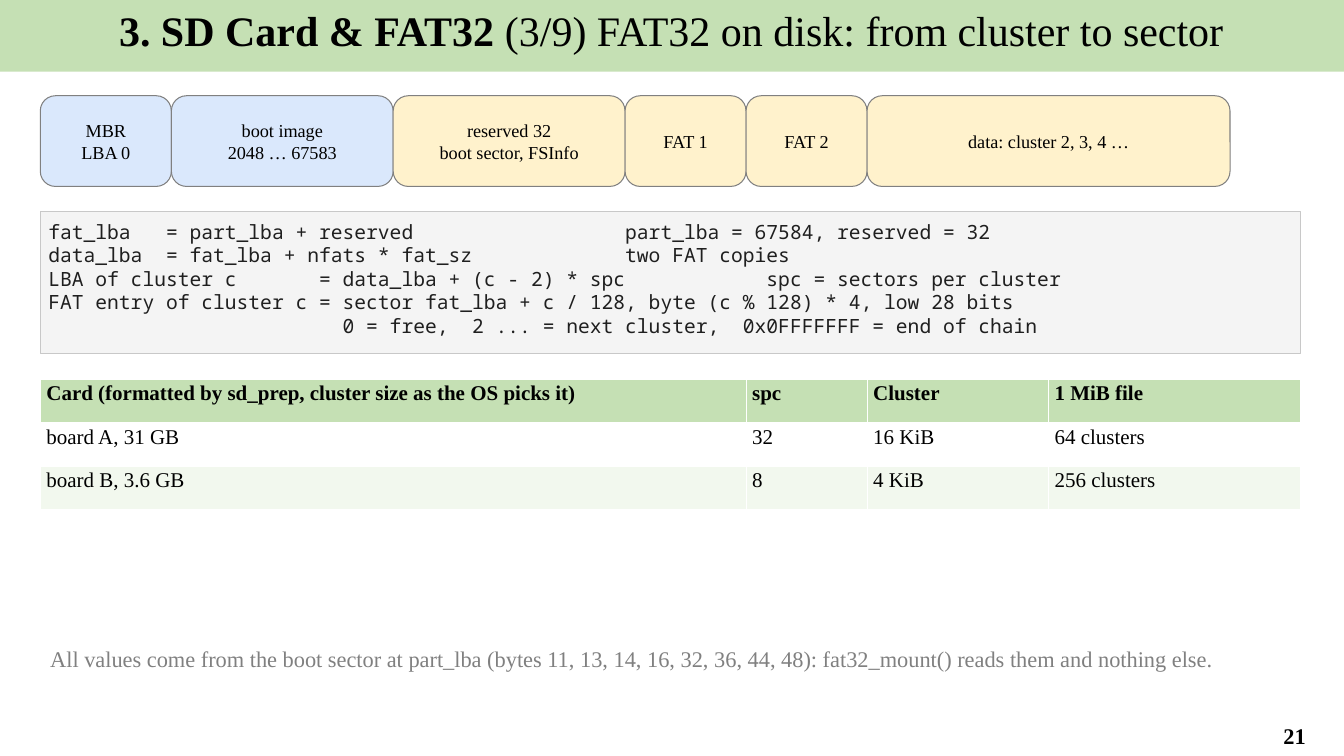
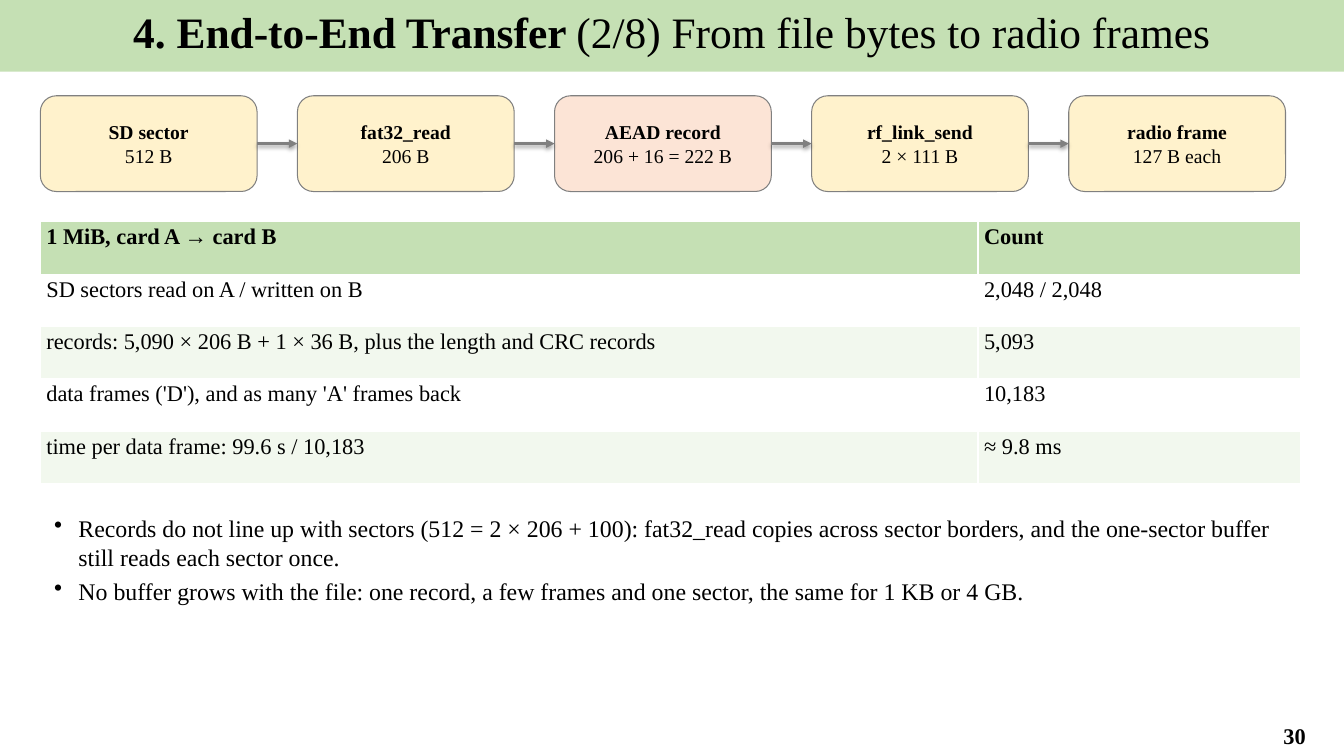
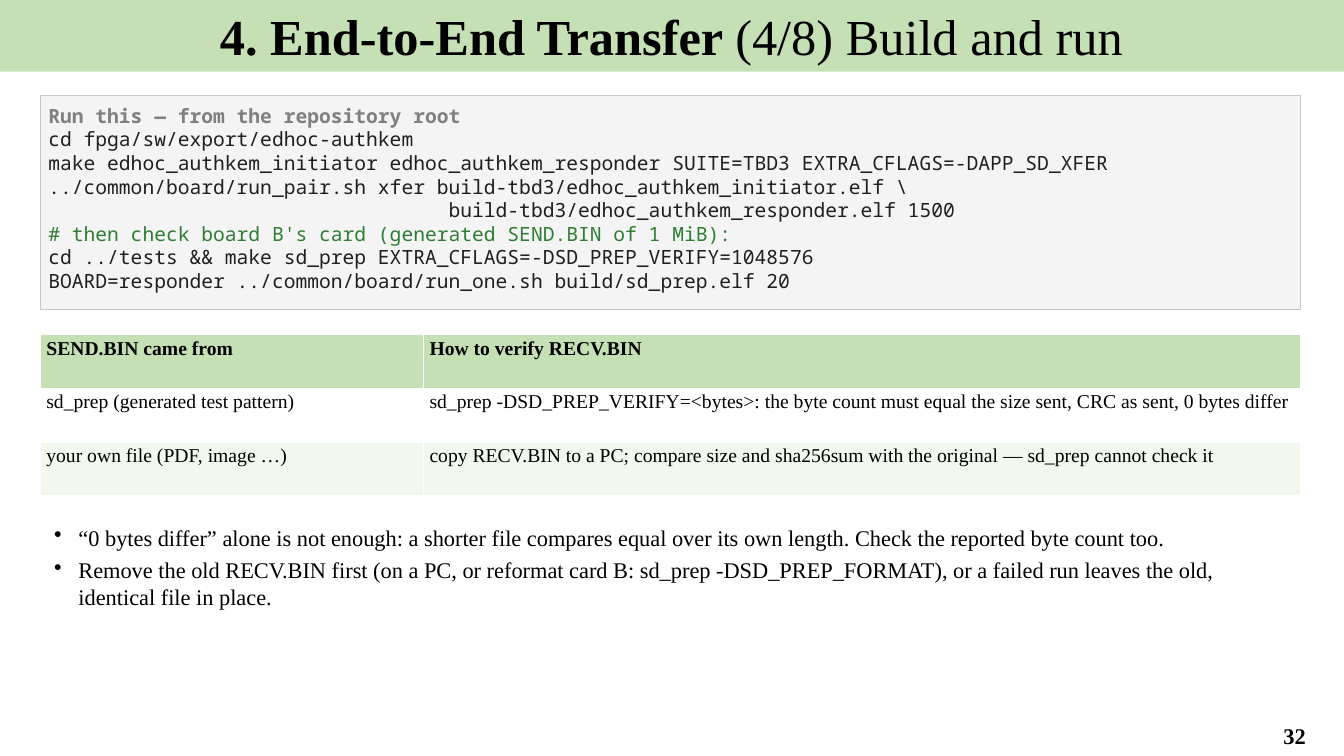
from dataclasses import dataclass

import lxml.etree
import pptx
import pptx.dml.color
import pptx.enum.shapes
import pptx.enum.text
import pptx.oxml.ns
import pptx.shapes.autoshape
import pptx.slide
import pptx.text.text
import pptx.util
from pptx.util import Inches

COLORS = {
    "band": "C5E0B4",
    "stripe": "F2F8EE",
    "white": "FFFFFF",
    "text": "000000",
    "muted": "808080",
    "boot": "DAE8FC",
    "storage": "FFF2CC",
    "crypto": "FCE4D6",
    "code_fill": "F4F4F4",
    "code_line": "C8C8C8",
    "code_text": "1F1F1F",
    "comment": "2E7D32",
}
SERIF = "Times New Roman"
MONO = "Noto Sans Mono"
LEFT = 0.4
TOP = 0.95
CONTENT_WIDTH = 12.5
CENTER = pptx.enum.text.PP_ALIGN.CENTER
MIDDLE = pptx.enum.text.MSO_ANCHOR.MIDDLE
SHAPES = pptx.enum.shapes.MSO_SHAPE


@dataclass
class Block:
    text: str
    width: float
    color: str = "storage"


@dataclass
class Table:
    top: float
    height: float
    size: int
    widths: list[float]
    rows: list[list[str]]


def rgb(name: str) -> pptx.dml.color.RGBColor:
    return pptx.dml.color.RGBColor.from_string(COLORS[name])


def style_paragraph(
    paragraph: pptx.text.text._Paragraph,
    size: float,
    color: str = "text",
    bold: bool = False,
    font: str = SERIF,
) -> None:
    for run in paragraph.runs:
        run.font.name = font
        run.font.size = pptx.util.Pt(size)
        run.font.bold = bold
        run.font.color.rgb = rgb(color)


def set_margins(frame: pptx.text.text.TextFrame, margin: float) -> None:
    frame.margin_left = frame.margin_right = Inches(margin)
    frame.margin_top = frame.margin_bottom = Inches(margin)


def add_panel(
    slide: pptx.slide.Slide,
    kind: pptx.enum.shapes.MSO_SHAPE,
    left: float,
    top: float,
    width: float,
    height: float,
    fill: str,
    line: str | None = None,
) -> pptx.shapes.autoshape.Shape:
    panel = slide.shapes.add_shape(
        kind, Inches(left), Inches(top), Inches(width), Inches(height)
    )
    panel.shadow.inherit = False
    panel.fill.solid()
    panel.fill.fore_color.rgb = rgb(fill)
    if line:
        panel.line.color.rgb = rgb(line)
        panel.line.width = pptx.util.Pt(0.75)
    else:
        panel.line.fill.background()
    return panel


def add_text(
    slide: pptx.slide.Slide, left: float, top: float, width: float, height: float, text: str
) -> pptx.text.text.TextFrame:
    frame = slide.shapes.add_textbox(
        Inches(left), Inches(top), Inches(width), Inches(height)
    ).text_frame
    frame.word_wrap = True
    frame.text = text
    return frame


def add_page(
    deck: pptx.presentation.Presentation, section: str, topic: str, title_size: int, number: int
) -> pptx.slide.Slide:
    """Add a blank slide with the title band and the page number."""
    slide = deck.slides.add_slide(deck.slide_layouts[6])
    band = add_panel(slide, SHAPES.RECTANGLE, -0.01, 0, 13.34, 0.71, "band")
    band.text_frame.vertical_anchor = pptx.enum.text.MSO_ANCHOR.TOP
    title = band.text_frame.paragraphs[0]
    title.text = section + " "
    title.add_run().text = topic
    title.alignment = CENTER
    style_paragraph(title, title_size)
    title.runs[0].font.bold = True

    footer = add_text(slide, 12.35, 7.1, 0.98, 0.39, str(number))
    footer.vertical_anchor = MIDDLE
    footer.paragraphs[0].alignment = CENTER
    style_paragraph(footer.paragraphs[0], 16, bold=True)
    return slide


def add_arrow(slide: pptx.slide.Slide, start: float, end: float, y: float) -> None:
    arrow = slide.shapes.add_connector(
        pptx.enum.shapes.MSO_CONNECTOR.STRAIGHT, Inches(start), Inches(y), Inches(end), Inches(y)
    )
    arrow.line.color.rgb = rgb("muted")
    arrow.line.width = pptx.util.Pt(2)
    line = arrow.element.spPr.find(pptx.oxml.ns.qn("a:ln"))
    lxml.etree.SubElement(line, pptx.oxml.ns.qn("a:tailEnd"), type="triangle")


def add_blocks(
    slide: pptx.slide.Slide,
    blocks: list[Block],
    height: float,
    size: int,
    gap: float = 0,
    bold_heads: bool = False,
) -> None:
    """Lay blocks out in a row, joined by arrows where there is a gap."""
    left = LEFT
    for index, block in enumerate(blocks):
        panel = add_panel(
            slide, SHAPES.ROUNDED_RECTANGLE, left, TOP, block.width, height, block.color, "muted"
        )
        frame = panel.text_frame
        set_margins(frame, 0.04)
        frame.vertical_anchor = MIDDLE
        frame.text = block.text
        for line_index, paragraph in enumerate(frame.paragraphs):
            paragraph.alignment = CENTER
            style_paragraph(paragraph, size, bold=bold_heads and line_index == 0)
        if gap and index:
            add_arrow(slide, left - gap, left, TOP + height / 2)
        left += block.width + gap


def add_code(
    slide: pptx.slide.Slide, top: float, height: float, code: str, heading: bool = False
) -> None:
    panel = add_panel(
        slide, SHAPES.RECTANGLE, LEFT, top, CONTENT_WIDTH, height, "code_fill", "code_line"
    )
    frame = panel.text_frame
    set_margins(frame, 0.08)
    frame.word_wrap = False
    frame.vertical_anchor = pptx.enum.text.MSO_ANCHOR.TOP
    frame.text = code
    for index, paragraph in enumerate(frame.paragraphs):
        paragraph.alignment = pptx.enum.text.PP_ALIGN.LEFT
        is_heading = heading and index == 0
        color = "comment" if paragraph.text.startswith("#") else "code_text"
        style_paragraph(paragraph, 14, "muted" if is_heading else color, is_heading, MONO)


def add_table(slide: pptx.slide.Slide, content: Table) -> None:
    grid = slide.shapes.add_table(
        len(content.rows),
        len(content.widths),
        Inches(LEFT),
        Inches(content.top),
        Inches(CONTENT_WIDTH),
        Inches(content.height),
    ).table
    for column, width in zip(grid.columns, content.widths):
        column.width = Inches(width)
    for row_index, row in enumerate(content.rows):
        header = row_index == 0
        fill = "band" if header else "white" if row_index % 2 else "stripe"
        for column_index, text in enumerate(row):
            cell = grid.cell(row_index, column_index)
            cell.margin_left = cell.margin_right = Inches(0.06)
            cell.margin_top = cell.margin_bottom = Inches(0.03)
            cell.fill.solid()
            cell.fill.fore_color.rgb = rgb(fill)
            cell.text_frame.text = text
            style_paragraph(cell.text_frame.paragraphs[0], content.size, bold=header)


def add_bullets(
    slide: pptx.slide.Slide, top: float, height: float, size: int, points: list[str]
) -> None:
    frame = add_text(slide, LEFT, top, CONTENT_WIDTH, height, "\n".join(points))
    for paragraph in frame.paragraphs:
        properties = paragraph._p.get_or_add_pPr()
        properties.set("marL", str(Inches(0.28)))
        properties.set("indent", str(Inches(-0.24)))
        lxml.etree.SubElement(properties, pptx.oxml.ns.qn("a:buChar"), char="•")
        paragraph.space_after = pptx.util.Pt(4)
        style_paragraph(paragraph, size)


def build_disk_layout(deck: pptx.presentation.Presentation) -> None:
    slide = add_page(
        deck, "3. SD Card & FAT32", "(3/9) FAT32 on disk: from cluster to sector", 30, 21
    )
    regions = [
        Block("MBR\nLBA 0", 1.3, "boot"),
        Block("boot image\n2048 … 67583", 2.2, "boot"),
        Block("reserved 32\nboot sector, FSInfo", 2.3),
        Block("FAT 1", 1.2),
        Block("FAT 2", 1.2),
        Block("data: cluster 2, 3, 4 …", 3.6),
    ]
    add_blocks(slide, regions, height=0.9, size=13)
    formulas = """\
fat_lba   = part_lba + reserved                  part_lba = 67584, reserved = 32
data_lba  = fat_lba + nfats * fat_sz             two FAT copies
LBA of cluster c       = data_lba + (c - 2) * spc            spc = sectors per cluster
FAT entry of cluster c = sector fat_lba + c / 128, byte (c % 128) * 4, low 28 bits
                         0 = free,  2 ... = next cluster,  0x0FFFFFFF = end of chain"""
    add_code(slide, 2.1, 1.41, formulas)
    cards = [
        ["Card (formatted by sd_prep, cluster size as the OS picks it)",
         "spc", "Cluster", "1 MiB file"],
        ["board A, 31 GB", "32", "16 KiB", "64 clusters"],
        ["board B, 3.6 GB", "8", "4 KiB", "256 clusters"],
    ]
    add_table(slide, Table(3.76, 1.3, 15, [7, 1.2, 1.8, 2.5], cards))
    note = add_text(
        slide, LEFT, 6.35, CONTENT_WIDTH, 0.6,
        "All values come from the boot sector at part_lba (bytes 11, 13, 14, 16, 32, 36, 44, 48): "
        "fat32_mount() reads them and nothing else.",
    )
    style_paragraph(note.paragraphs[0], 16, "muted")


def build_framing(deck: pptx.presentation.Presentation) -> None:
    slide = add_page(
        deck, "4. End-to-End Transfer", "(2/8) From file bytes to radio frames", 31, 30
    )
    stages = [
        Block("SD sector\n512 B", 2.15),
        Block("fat32_read\n206 B", 2.15),
        Block("AEAD record\n206 + 16 = 222 B", 2.15, "crypto"),
        Block("rf_link_send\n2 × 111 B", 2.15),
        Block("radio frame\n127 B each", 2.15),
    ]
    add_blocks(slide, stages, height=0.95, size=14, gap=0.4, bold_heads=True)
    counts = [
        ["1 MiB, card A → card B", "Count"],
        ["SD sectors read on A / written on B", "2,048 / 2,048"],
        ["records: 5,090 × 206 B + 1 × 36 B, plus the length and CRC records", "5,093"],
        ["data frames ('D'), and as many 'A' frames back", "10,183"],
        ["time per data frame: 99.6 s / 10,183", "≈ 9.8 ms"],
    ]
    add_table(slide, Table(2.2, 2.6, 16, [9.3, 3.2], counts))
    add_bullets(slide, 5.05, 1.9, 17, [
        "Records do not line up with sectors (512 = 2 × 206 + 100): fat32_read copies across "
        "sector borders, and the one-sector buffer still reads each sector once.",
        "No buffer grows with the file: one record, a few frames and one sector, "
        "the same for 1 KB or 4 GB.",
    ])


def build_run_steps(deck: pptx.presentation.Presentation) -> None:
    slide = add_page(deck, "4. End-to-End Transfer", "(4/8) Build and run", 36, 32)
    commands = """\
Run this — from the repository root
cd fpga/sw/export/edhoc-authkem
make edhoc_authkem_initiator edhoc_authkem_responder SUITE=TBD3 EXTRA_CFLAGS=-DAPP_SD_XFER
../common/board/run_pair.sh xfer build-tbd3/edhoc_authkem_initiator.elf \\
                                  build-tbd3/edhoc_authkem_responder.elf 1500
# then check board B's card (generated SEND.BIN of 1 MiB):
cd ../tests && make sd_prep EXTRA_CFLAGS=-DSD_PREP_VERIFY=1048576
BOARD=responder ../common/board/run_one.sh build/sd_prep.elf 20"""
    add_code(slide, TOP, 2.12, commands, heading=True)
    checks = [
        ["SEND.BIN came from", "How to verify RECV.BIN"],
        ["sd_prep (generated test pattern)",
         "sd_prep -DSD_PREP_VERIFY=<bytes>: the byte count must equal the size sent, "
         "CRC as sent, 0 bytes differ"],
        ["your own file (PDF, image …)",
         "copy RECV.BIN to a PC; compare size and sha256sum with the original — "
         "sd_prep cannot check it"],
    ]
    add_table(slide, Table(3.32, 1.6, 14, [3.8, 8.7], checks))
    add_bullets(slide, 5.15, 1.7, 16, [
        "“0 bytes differ” alone is not enough: a shorter file compares equal over its own length. "
        "Check the reported byte count too.",
        "Remove the old RECV.BIN first (on a PC, or reformat card B: sd_prep -DSD_PREP_FORMAT), "
        "or a failed run leaves the old, identical file in place.",
    ])


def main() -> None:
    deck = pptx.Presentation()
    deck.slide_width = Inches(13.33)
    deck.slide_height = Inches(7.5)
    build_disk_layout(deck)
    build_framing(deck)
    build_run_steps(deck)
    deck.save("out.pptx")


if __name__ == "__main__":
    main()
